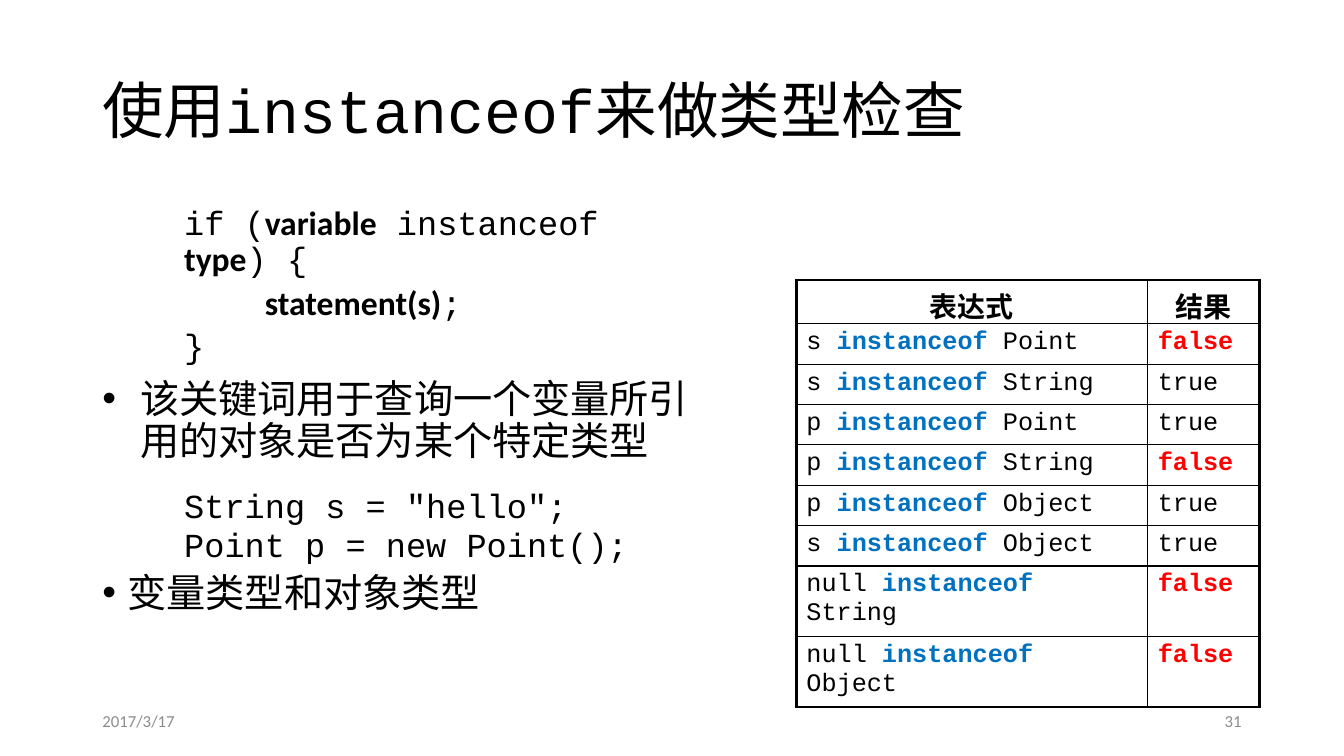
import pptx
import pptx.util
import pptx.dml.color
import pptx.enum.text
import pptx.oxml
import pptx.oxml.ns

Pt = pptx.util.Pt
RGBColor = pptx.dml.color.RGBColor
ALIGN = pptx.enum.text.PP_ALIGN
ANCHOR = pptx.enum.text.MSO_ANCHOR
NS = pptx.oxml.ns.nsdecls("a")

BLACK = RGBColor(0x00, 0x00, 0x00)
BLUE = RGBColor(0x00, 0x70, 0xC0)
RED = RGBColor(0xFF, 0x00, 0x00)
GRAY = RGBColor(0x8C, 0x8C, 0x8C)
SANS, MONO, HEAD = "Calibri", "Courier New", "Lato"

# Content: a run is (text, font, bold)
TITLE = [("使用", SANS, False), ("instanceof", MONO, False),
         ("来做类型检查", SANS, False)]

# Body line: (runs, size, left margin, first-line indent, line spacing, space before, bullet)
BODY = [
    ([("if (", MONO, False), ("variable", SANS, True), (" instanceof ", MONO, False),
      ("type", SANS, True), (") {", MONO, False)], 24, 58.5, 0, 0.9, 5, False),
    ([("statement(s)", SANS, True), (";", MONO, False)], 24, 58.5, 57.6, 0.9, 5, False),
    ([("}", MONO, False)], 24, 58.5, 0, 0.9, 5, False),
    ([("该关键词用于查询一个变量所引用的对象是否为某个特定类型", SANS, False)],
     28, 27, -27, 0.9, 10, True),
    ([('String s = "hello";', MONO, False)], 24, 58.5, 0, 0.8, 20, False),
    ([("Point p = new Point();", MONO, False)], 24, 58.5, 0, 0.8, 5, False),
    ([("变量类型和对象类型", SANS, False)], 28, 18, -18, 0.8, 10, True),
]

HEADERS = ["表达式", "结果"]
CHECKS = [
    ("s", "Point", "false"),
    ("s", "String", "true"),
    ("p", "Point", "true"),
    ("p", "String", "false"),
    ("p", "Object", "true"),
    ("s", "Object", "true"),
    ("null", "String", "false"),
    ("null", "Object", "false"),
]
COL_WIDTHS = [251, 80]
ROW_H = 22.5  # minimum; each row grows to fit its text
THICK, THIN = 2.25, 1

# Footer: (text, left, alignment)
FOOTER = [("2017/3/17", 66, ALIGN.LEFT), ("31", 678, ALIGN.RIGHT)]


def add_run(p, text, font, size, color=BLACK, bold=False):
    r = p.add_run()
    r.text = text
    r.font.name = font
    r.font.size = Pt(size)
    r.font.bold = bold
    r.font.color.rgb = color


def add_box(s, left, top, width, height, anchor):
    tf = s.shapes.add_textbox(Pt(left), Pt(top), Pt(width), Pt(height)).text_frame
    tf.word_wrap = True
    tf.vertical_anchor = anchor
    return tf


def set_indent(p, margin, indent, bullet):
    pPr = p._p.get_or_add_pPr()
    pPr.set("marL", str(Pt(margin)))
    pPr.set("indent", str(Pt(indent)))
    if bullet:
        pPr.append(pptx.oxml.parse_xml(f'<a:buFont {NS} typeface="Arial"/>'))
        pPr.append(pptx.oxml.parse_xml(f'<a:buChar {NS} char="•"/>'))


def set_borders(cell, widths):
    tcPr = cell._tc.get_or_add_tcPr()
    for side, width in widths.items():
        tcPr.append(pptx.oxml.parse_xml(
            f'<a:ln{side} {NS} w="{Pt(width)}">'
            f'<a:solidFill><a:srgbClr val="{BLACK}"/></a:solidFill></a:ln{side}>'))


prs = pptx.Presentation()
prs.slide_width, prs.slide_height = Pt(960), Pt(540)
s = prs.slides.add_slide(prs.slide_layouts[6])

# Title
p = add_box(s, 66, 28.8, 828, 104.4, ANCHOR.MIDDLE).paragraphs[0]
p.line_spacing = 0.9
for text, font, bold in TITLE:
    add_run(p, text, font, 44, bold=bold)

# Body
tf = add_box(s, 66, 144, 438, 342.7, ANCHOR.TOP)
for i, (runs, size, margin, indent, spacing, before, bullet) in enumerate(BODY):
    p = tf.add_paragraph() if i else tf.paragraphs[0]
    p.line_spacing = spacing
    p.space_before = Pt(before)
    set_indent(p, margin, indent, bullet)
    for text, font, bold in runs:
        add_run(p, text, font, size, bold=bold)

# Table of type checks
last_row, last_col = len(CHECKS), len(COL_WIDTHS) - 1
table = s.shapes.add_table(last_row + 1, last_col + 1, Pt(568.8), Pt(200),
                           Pt(sum(COL_WIDTHS)), Pt(ROW_H * (last_row + 1))).table
table.first_row = table.horz_banding = False
for column, width in zip(table.columns, COL_WIDTHS):
    column.width = Pt(width)
for row in table.rows:
    row.height = Pt(ROW_H)

for cell, text in zip(table.rows[0].cells, HEADERS):
    p = cell.text_frame.paragraphs[0]
    p.alignment = ALIGN.CENTER
    add_run(p, text, HEAD, 20, bold=True)

for i, (name, kind, result) in enumerate(CHECKS, 1):
    p = table.cell(i, 0).text_frame.paragraphs[0]
    add_run(p, name + " ", MONO, 18)
    add_run(p, "instanceof", MONO, 18, BLUE, True)
    add_run(p, " " + kind, MONO, 18)
    failed = result == "false"
    add_run(table.cell(i, 1).text_frame.paragraphs[0], result, MONO, 18,
            RED if failed else BLACK, failed)

for i in range(last_row + 1):
    for j in range(last_col + 1):
        cell = table.cell(i, j)
        set_borders(cell, {"L": THICK if j == 0 else THIN,
                           "R": THICK if j == last_col else THIN,
                           "T": THICK if i == 0 else THIN,
                           "B": THICK if i == last_row else THIN})
        cell.fill.background()

# Footer
for text, left, align in FOOTER:
    p = add_box(s, left, 500.5, 216, 28.8, ANCHOR.MIDDLE).paragraphs[0]
    p.alignment = align
    add_run(p, text, SANS, 12, GRAY)

prs.save("out.pptx")
